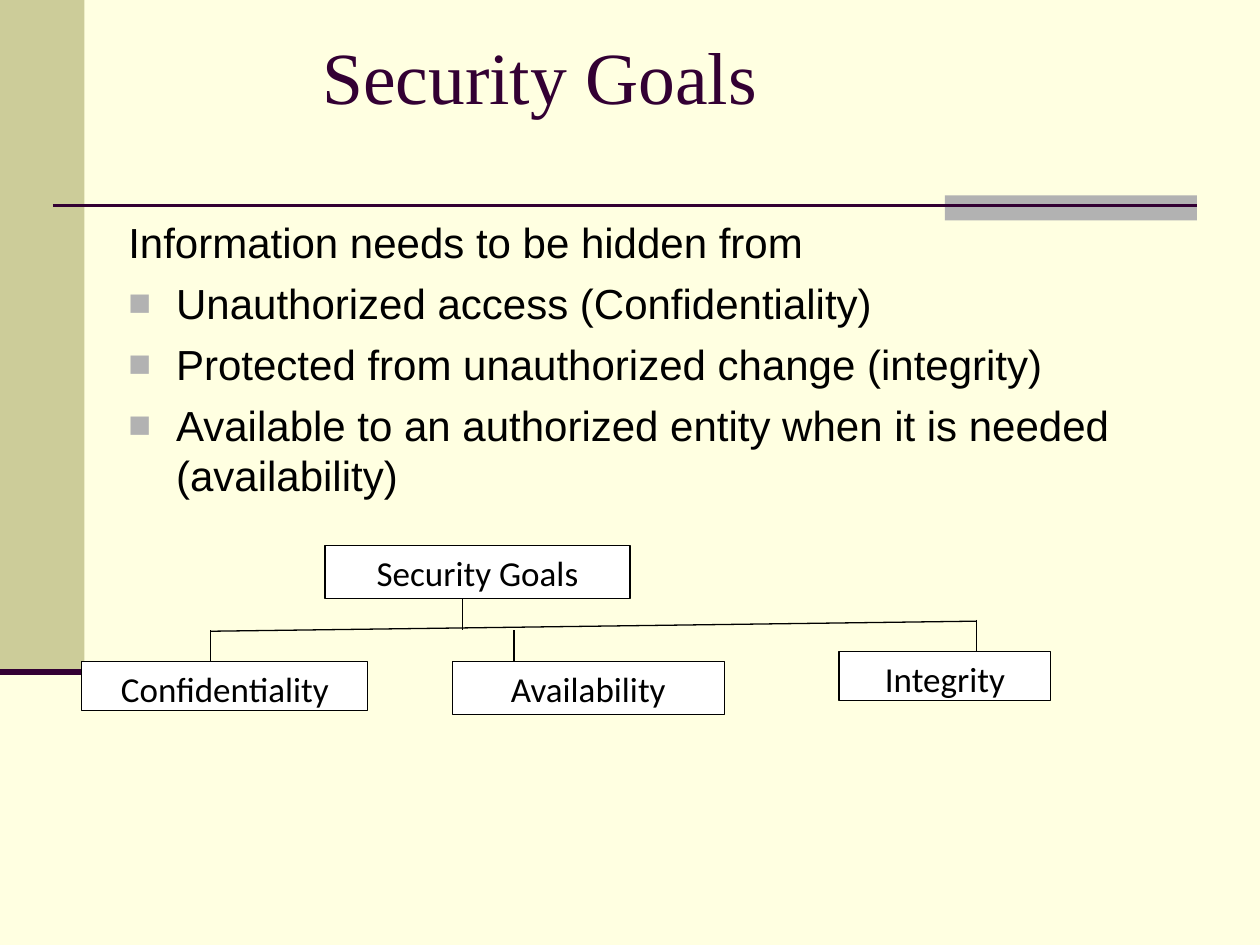
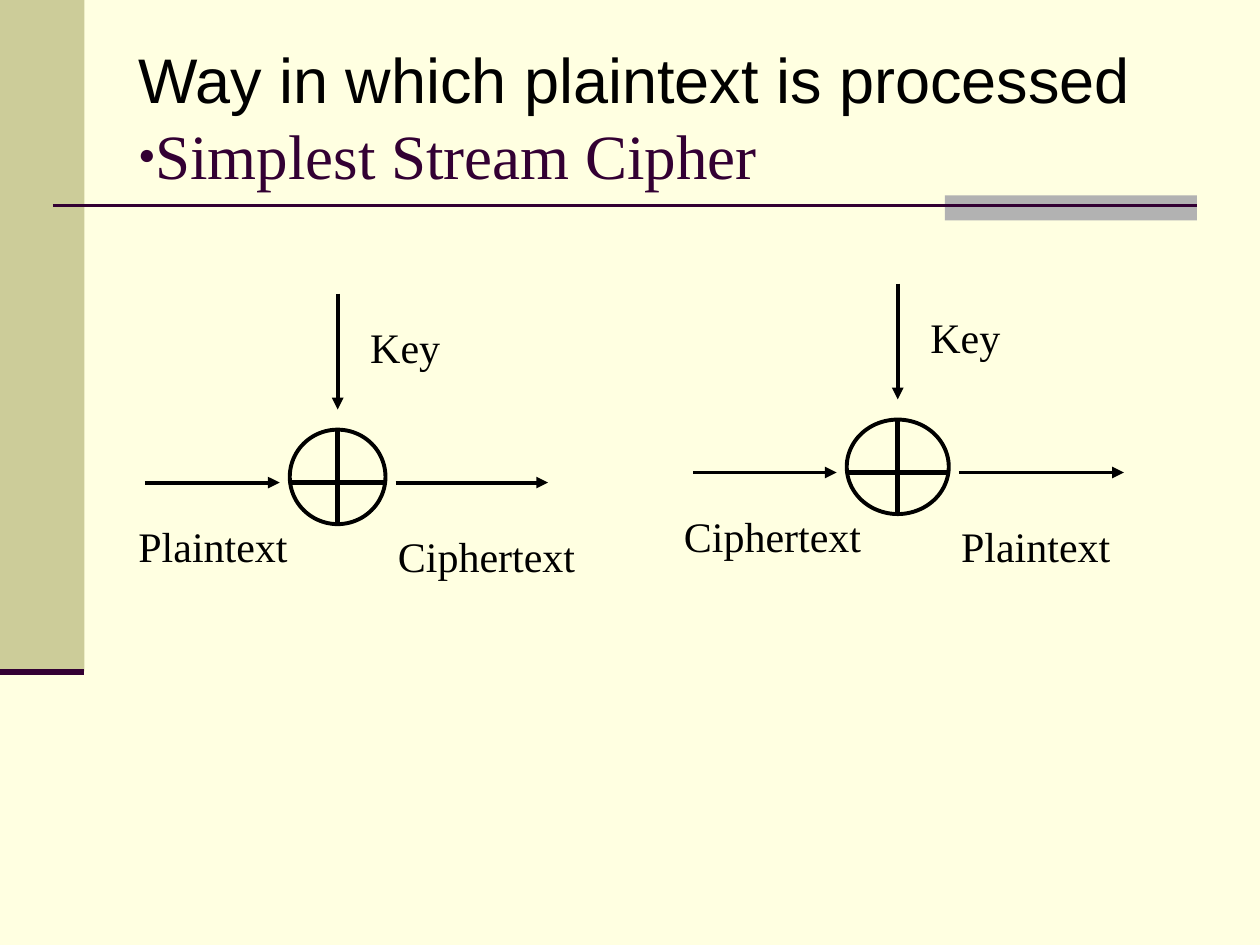
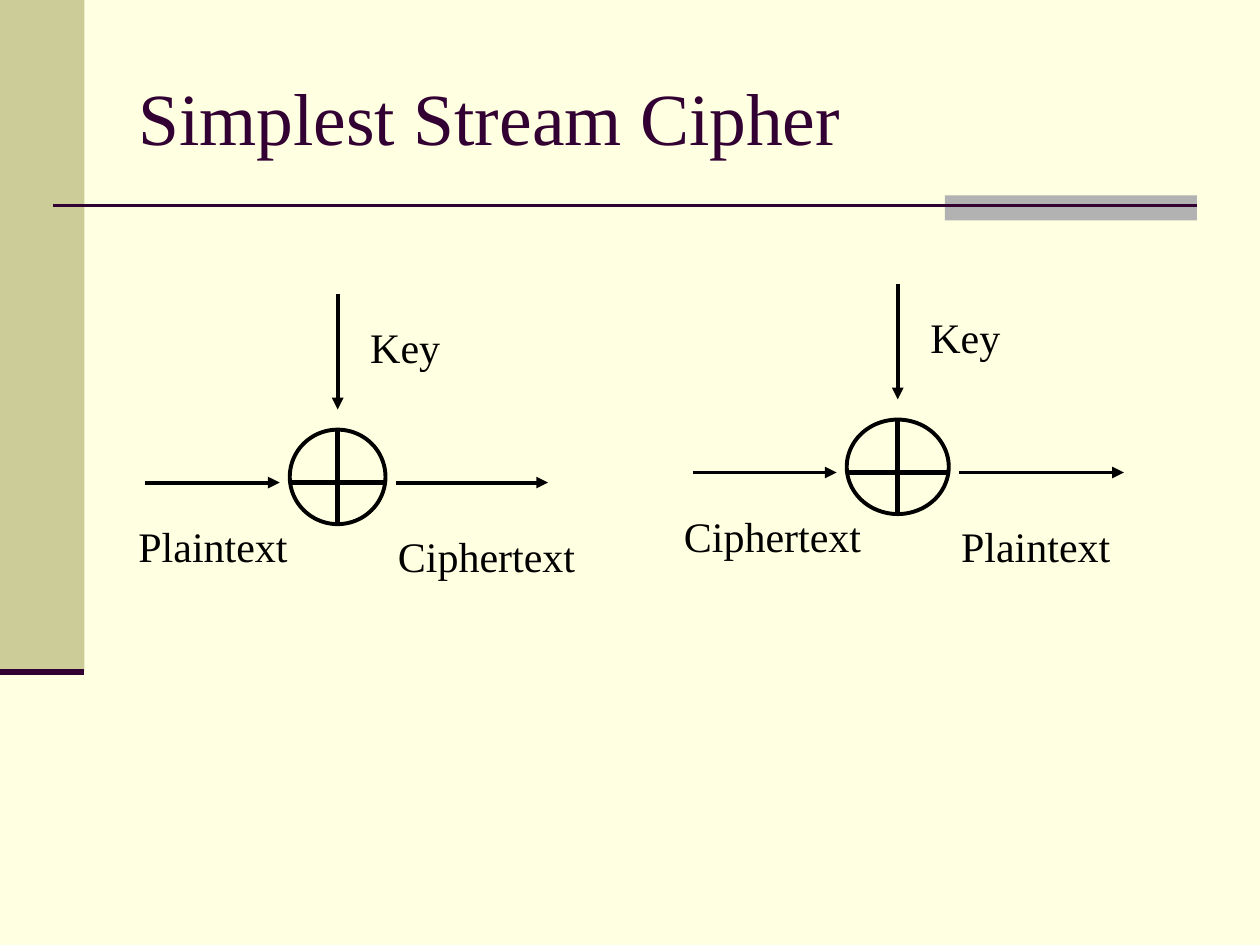
from dataclasses import dataclass
from typing import NamedTuple, Optional

from lxml.etree import SubElement
from pptx import Presentation
from pptx.dml.color import RGBColor
from pptx.enum.shapes import MSO_CONNECTOR as Connector, MSO_SHAPE as Preset
from pptx.enum.text import MSO_ANCHOR as Anchor
from pptx.oxml.ns import qn
from pptx.util import Inches, Pt

COLORS = {
    "page": "FFFFE1",
    "side": "CCCC99",
    "accent": "B2B2B2",
    "plum": "330033",
    "ink": "000000",
    "box": "FFFFFF",
}
SERIF, SANS, BOX_FONT = "Times New Roman", "Arial", "Calibri"


class Area(NamedTuple):
    left: float
    top: float
    width: float
    height: float

    def lengths(self) -> tuple:
        return tuple(Inches(side) for side in self)


class Bullet(NamedTuple):
    char: str
    color: str
    percent: int


@dataclass(frozen=True)
class Line:
    """One paragraph of text; hang is the width of its hanging indent."""
    text: str
    size: float
    font: str
    color: str = "ink"
    bullet: Optional[Bullet] = None
    hang: float = 0
    margin: float = 0
    before: float = 0


class Goal(NamedTuple):
    name: str
    area: Area
    stem_x: float


@dataclass(frozen=True)
class Cipher:
    """An XOR circle with its key, input and output."""
    circle: Area
    source: str
    source_area: Area
    source_x: float
    result: str
    result_width: float
    result_x: float


TITLE_AREA = Area(1, 0.3, 8.5, 1.25)
SQUARE = Bullet("■", "accent", 90)
DOT = Bullet("●", "plum", 45)

ROOT = Area(2.58, 4.33, 2.42, 0.42)
ROOT_STEM_X = 3.67
STEM = 0.25
GOALS = [
    Goal("Confidentiality", Area(0.65, 5.25, 2.27, 0.39), 1.67),
    Goal("Availability", Area(3.59, 5.25, 2.16, 0.42), 4.08),
    Goal("Integrity", Area(6.66, 5.17, 1.68, 0.39), 7.75),
]
CIPHERS = [
    Cipher(Area(2.3, 3.41, 0.76, 0.75), "Plaintext", Area(1, 4.08, 1.45, 0.5), 1.15,
           "Ciphertext", 1.69, 4.35),
    Cipher(Area(6.72, 3.33, 0.81, 0.75), "Ciphertext", Area(5.33, 4, 1.83, 0.5), 5.5,
           "Plaintext", 1.63, 8.92),
]


def rgb(color: str) -> RGBColor:
    return RGBColor.from_string(COLORS[color])


def write(frame, lines: list[Line], anchor=Anchor.TOP) -> None:
    frame.word_wrap = True
    frame.vertical_anchor = anchor
    for index, line in enumerate(lines):
        paragraph = frame.add_paragraph() if index else frame.paragraphs[0]
        props = paragraph._p.get_or_add_pPr()
        props.set("marL", str(Inches(line.hang + line.margin)))
        props.set("indent", str(-Inches(line.hang)))
        if line.bullet:
            tint = SubElement(props, qn("a:buClr"))
            SubElement(tint, qn("a:srgbClr"), val=COLORS[line.bullet.color])
            SubElement(props, qn("a:buSzPct"), val=str(line.bullet.percent * 1000))
            SubElement(props, qn("a:buFont"), typeface=SANS)
            SubElement(props, qn("a:buChar"), char=line.bullet.char)
        else:
            SubElement(props, qn("a:buNone"))
        if index:
            paragraph.space_before = Pt(line.before)
        run = paragraph.add_run()
        run.text = line.text
        run.font.size = Pt(line.size)
        run.font.name = line.font
        run.font.color.rgb = rgb(line.color)


def add_text(slide, area: Area, lines: list[Line], anchor=Anchor.TOP):
    frame = slide.shapes.add_textbox(*area.lengths()).text_frame
    write(frame, lines, anchor)
    return frame


def add_figure(slide, preset, area: Area, fill: Optional[str] = None,
               outline: Optional[float] = None):
    figure = slide.shapes.add_shape(preset, *area.lengths())
    figure.shadow.inherit = False
    if fill:
        figure.fill.solid()
        figure.fill.fore_color.rgb = rgb(fill)
    else:
        figure.fill.background()
    if outline:
        figure.line.color.rgb = rgb("ink")
        figure.line.width = Pt(outline)
    else:
        figure.line.fill.background()
    return figure


def add_line(slide, start: tuple[float, float], end: tuple[float, float],
             width: float, color: str = "ink", arrow: bool = False) -> None:
    ends = [Inches(value) for value in (*start, *end)]
    connector = slide.shapes.add_connector(Connector.STRAIGHT, *ends)
    connector.line.color.rgb = rgb(color)
    connector.line.width = Pt(width)
    props = connector.element.find(qn("p:spPr"))
    SubElement(props, qn("a:effectLst"))
    if arrow:
        SubElement(props.find(qn("a:ln")), qn("a:tailEnd"), type="triangle")


def add_slide(deck):
    """Add a slide with the background, side band and title rule."""
    slide = deck.slides.add_slide(deck.slide_layouts[6])
    slide.background.fill.solid()
    slide.background.fill.fore_color.rgb = rgb("page")
    add_figure(slide, Preset.RECTANGLE, Area(0, 0, 0.67, 5.33), "side")
    add_figure(slide, Preset.RECTANGLE, Area(7.5, 1.55, 2, 0.2), "accent")
    add_line(slide, (0.42, 1.63), (9.5, 1.63), 1.5, "plum")
    add_line(slide, (0, 5.33), (0.67, 5.33), 3.5, "plum")
    return slide


def title_line(text: str, margin: float = 0) -> Line:
    return Line(text, 42, SERIF, "plum", margin=margin)


def add_goal_box(slide, preset, area: Area, name: str) -> None:
    box = add_figure(slide, preset, area, "box", 0.75)
    write(box.text_frame, [Line(name, 20, BOX_FONT)])


def add_goal_tree(slide) -> None:
    add_goal_box(slide, Preset.FLOWCHART_PROCESS, ROOT, "Security Goals")
    for goal in GOALS:
        add_goal_box(slide, Preset.RECTANGLE, goal.area, goal.name)
    add_line(slide, (GOALS[0].stem_x, 5.01), (GOALS[-1].stem_x, 4.93), 0.75)
    root_bottom = ROOT.top + ROOT.height
    stems = [(goal.stem_x, goal.area.top - STEM) for goal in GOALS]
    for x, top in [*stems, (ROOT_STEM_X, root_bottom)]:
        add_line(slide, (x, top), (x, top + STEM), 0.75)


def add_cipher(slide, cipher: Cipher) -> None:
    left, top, width, height = cipher.circle
    right, bottom = left + width, top + height
    center, wire = left + width / 2, top + 0.42
    gap = 0.08

    add_figure(slide, Preset.OVAL, cipher.circle, outline=2.25)
    add_line(slide, (left, wire), (right, wire), 3)
    add_line(slide, (center, top), (center, bottom), 3)

    arrows = [
        ((cipher.source_x, wire), (left - gap, wire)),
        ((center, top - 1.08), (center, top - 2 * gap)),
        ((right + gap, wire), (cipher.result_x, wire)),
    ]
    for start, end in arrows:
        add_line(slide, start, end, 2.25, arrow=True)

    labels = [
        (cipher.source, cipher.source_area),
        ("Key", Area(center + 0.16, top - 0.91, width, 0.5)),
        (cipher.result, Area(right, bottom, cipher.result_width, 0.5)),
    ]
    for text, area in labels:
        add_text(slide, area, [Line(text, 24, SERIF)])


def build_goals(deck) -> None:
    slide = add_slide(deck)
    heading = add_text(slide, Area(1, 0.25, 8.5, 1.3), [title_line("Security Goals", 1.46)])
    heading.margin_top = 0
    points = [
        "Unauthorized access (Confidentiality)",
        "Protected from unauthorized change (integrity)",
        "Available to an authorized entity when it is needed (availability)",
    ]
    lead = Line("Information needs to be hidden from", 24, SANS, hang=0.38)
    add_text(slide, Area(0.92, 1.67, 8.5, 2.75), [
        lead,
        *(Line(point, 24, SANS, bullet=SQUARE, hang=0.38, before=6) for point in points),
    ])
    add_goal_tree(slide)


def build_cipher_slide(deck, heading: list[Line]) -> None:
    slide = add_slide(deck)
    add_text(slide, TITLE_AREA, heading, Anchor.MIDDLE)
    for cipher in CIPHERS:
        add_cipher(slide, cipher)


def main() -> None:
    deck = Presentation()
    deck.slide_width, deck.slide_height = Inches(10), Inches(7.5)
    build_goals(deck)
    build_cipher_slide(deck, [
        Line("Way in which plaintext is processed", 36, SANS),
        Line("Simplest Stream Cipher", 36, SERIF, "plum", DOT),
    ])
    build_cipher_slide(deck, [title_line("Simplest Stream Cipher")])
    deck.save("out.pptx")


if __name__ == "__main__":
    main()
